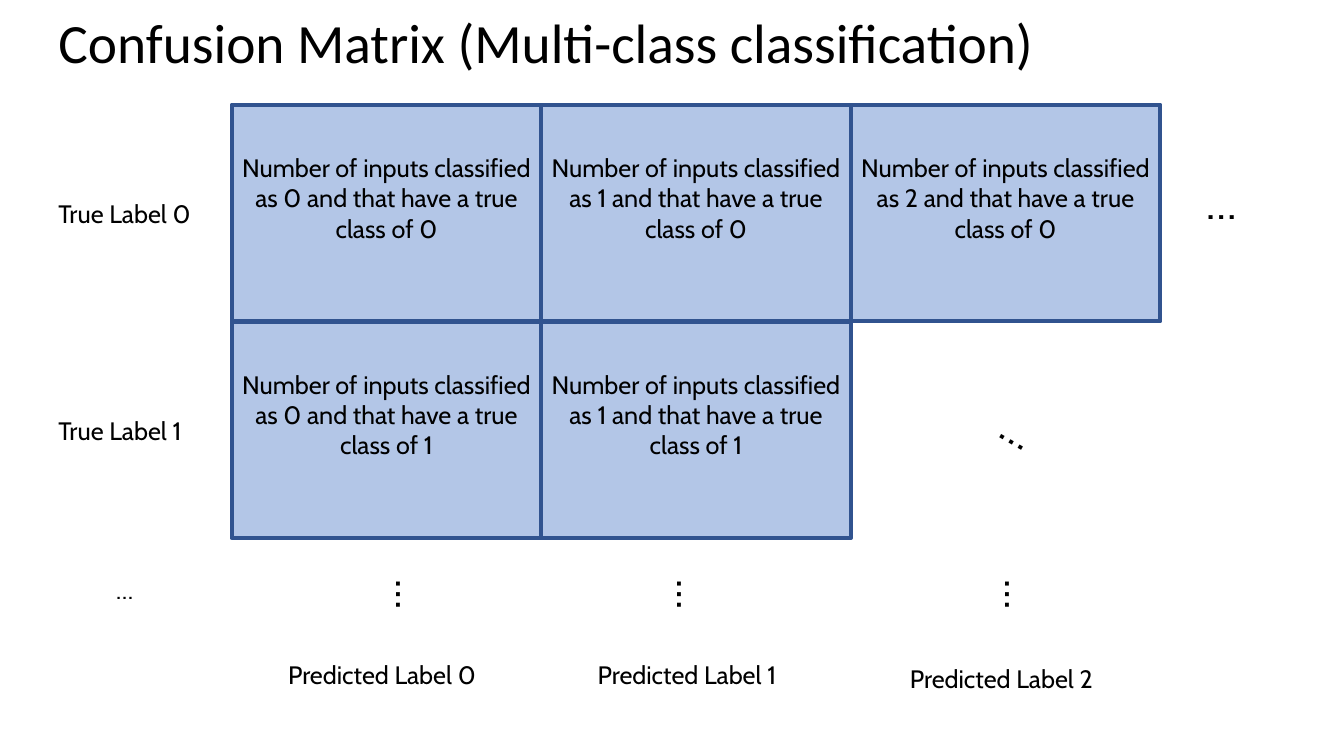
"""Build a slide showing a multi-class confusion matrix."""
from pptx import Presentation
from pptx.dml.color import RGBColor
from pptx.enum.shapes import MSO_SHAPE
from pptx.enum.text import MSO_ANCHOR, PP_ALIGN
from pptx.util import Cm, Pt

RECTANGLE = MSO_SHAPE.RECTANGLE
TOP, MIDDLE = MSO_ANCHOR.TOP, MSO_ANCHOR.MIDDLE
LEFT, CENTER = PP_ALIGN.LEFT, PP_ALIGN.CENTER
BLACK = RGBColor(0x00, 0x00, 0x00)
CELL_FILL = RGBColor(0xB3, 0xC6, 0xE7)
CELL_LINE = RGBColor(0x31, 0x53, 0x8F)

MATRIX_LEFT, MATRIX_TOP = 5.84, 2.64
CELL_WIDTH, CELL_HEIGHT = 7.8, 5.46
LABEL_LEFT = 1.22
CELLS_PER_ROW = [3, 2]


def write(shape, text, size=18, font="Cabin", align=LEFT, anchor=TOP):
    frame = shape.text_frame
    frame.word_wrap = True
    frame.vertical_anchor = anchor
    paragraph = frame.paragraphs[0]
    paragraph.alignment = align
    run = paragraph.add_run()
    run.text = text
    run.font.size = Pt(size)
    run.font.name = font
    run.font.color.rgb = BLACK
    return paragraph


def add_text(left, top, width, height, text, **style):
    box = slide.shapes.add_textbox(Cm(left), Cm(top), Cm(width), Cm(height))
    write(box, text, **style)
    return box


presentation = Presentation()
presentation.slide_width, presentation.slide_height = Cm(33.87), Cm(19.05)
slide = presentation.slides.add_slide(presentation.slide_layouts[6])

title = add_text(LABEL_LEFT, 0.2, 32.36, 1.9, "Confusion Matrix (Multi-class classification)",
                 size=39.6, font="Calibri", anchor=MIDDLE)
title.text_frame.paragraphs[0].line_spacing = 0.9

for true_class, cell_count in enumerate(CELLS_PER_ROW):
    row_top = MATRIX_TOP + true_class * CELL_HEIGHT
    add_text(LABEL_LEFT, row_top + 2.23, 3.84, 1.03, f"True Label {true_class}")
    for predicted_class in range(cell_count):
        cell = slide.shapes.add_shape(
            RECTANGLE, Cm(MATRIX_LEFT + predicted_class * CELL_WIDTH), Cm(row_top),
            Cm(CELL_WIDTH), Cm(CELL_HEIGHT))
        cell.shadow.inherit = False
        cell.fill.solid()
        cell.fill.fore_color.rgb = CELL_FILL
        cell.line.color.rgb = CELL_LINE
        cell.line.width = Pt(3)
        cell.text_frame.margin_bottom = Cm(0.89)
        write(cell, f"Number of inputs classified as {predicted_class} "
                    f"and that have a true class of {true_class}",
              align=CENTER, anchor=MIDDLE)

for predicted_class, (left, top) in enumerate([(7.01, 16.48), (14.81, 16.48), (22.68, 16.59)]):
    add_text(left, top, 5.26, 1.03, f"Predicted Label {predicted_class}")

for left, top, rotation in [(25.04, 10.03, 30), (9.75, 14.22, 90), (16.84, 14.22, 90),
                            (25.1, 14.22, 90), (30.15, 4.27, 0)]:
    dots = add_text(left, top, 1.37, 1.62, "…", size=32)
    dots.rotation = rotation

add_text(2.64, 14.35, 1, 1.03, "…", align=CENTER)

presentation.save("out.pptx")
